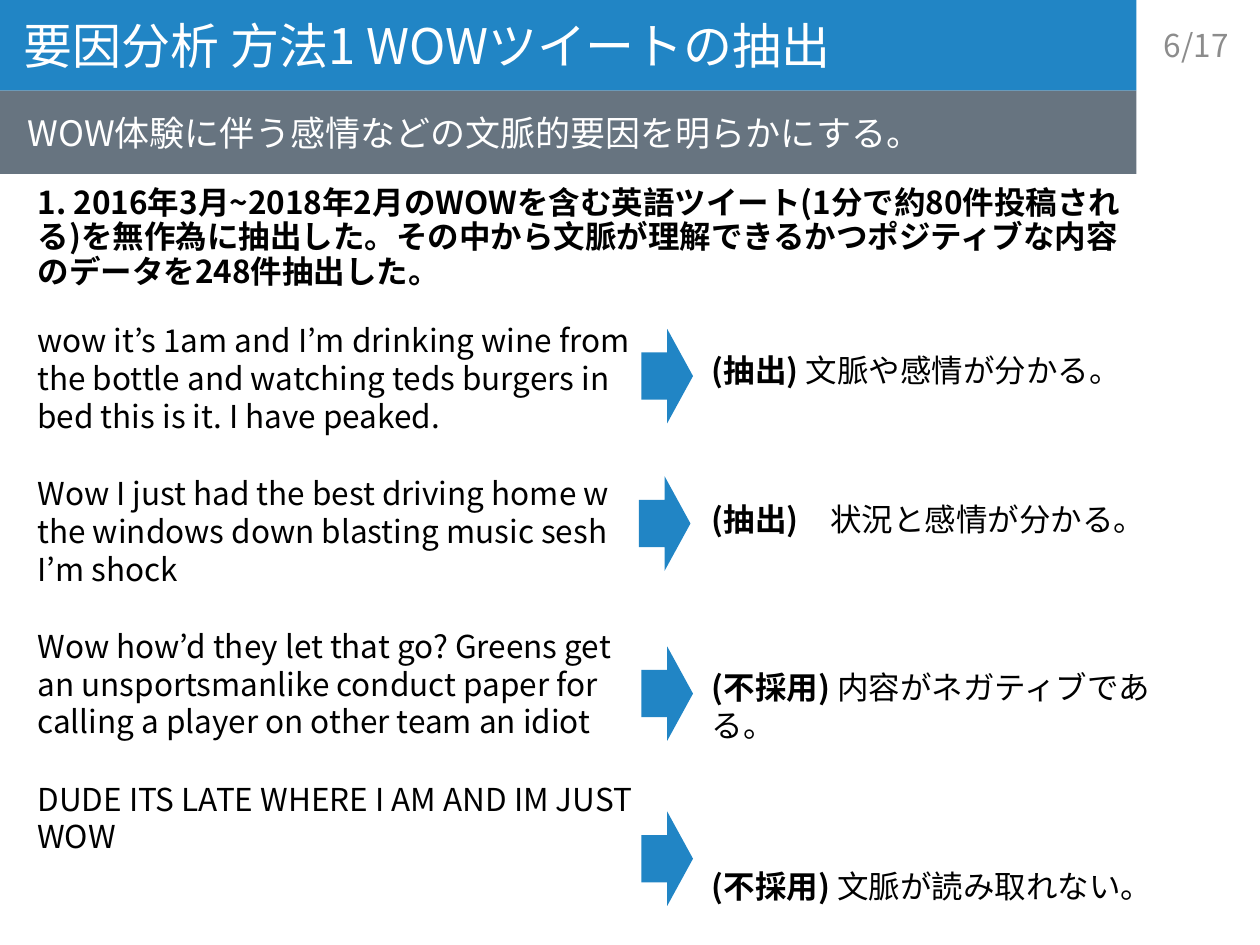
import pptx
import pptx.dml.color
import pptx.enum.shapes
import pptx.enum.text
import pptx.oxml
import pptx.util

Inches = pptx.util.Inches
Pt = pptx.util.Pt
SHAPES = pptx.enum.shapes.MSO_SHAPE
ANCHORS = pptx.enum.text.MSO_ANCHOR
ALIGNS = pptx.enum.text.PP_ALIGN

FONT = "Noto Sans CJK JP"
BLUE, GRAY, PALE = "2185C5", "677480", "8C8C8C"
WHITE, BLACK = "FFFFFF", "000000"

SUMMARY = (
    "1. 2016年3月~2018年2月のWOWを含む英語ツイート(1分で約80件投稿される)を"
    "無作為に抽出した。その中から文脈が理解できるかつポジティブな内容のデータを"
    "248件抽出した。"
)
TWEETS = [
    "wow it’s 1am and I’m drinking wine from the bottle and watching teds burgers "
    "in bed this is it. I have peaked.",
    "Wow I just had the best driving home w the windows down blasting music sesh I’m shock",
    "Wow how’d they let that go? Greens get an unsportsmanlike conduct paper for "
    "calling a player on other team an idiot",
    "DUDE ITS LATE WHERE I AM AND IM JUST WOW",
]
# Verdict, reason and the gap above in points
JUDGEMENTS = [
    ("(抽出) ", "文脈や感情が分かる。", 0),
    ("(抽出)\u3000".replace("\u3000", "　"), "状況と感情が分かる。", 63.5),
    ("(不採用) ", "内容がネガティブである。", 74.5),
    ("(不採用) ", "文脈が読み取れない。", 70.5),
]
ARROWS = [(5.09, 2.61), (5.07, 3.78), (5.09, 5.13), (5.09, 6.44)]


def color(value):
    return pptx.dml.color.RGBColor.from_string(value)


def apply_format(target, values):
    for name, value in values.items():
        setattr(target, name, value)


def add_span(para, text, size=18, fill=BLACK, bold=False):
    span = para.add_run()
    span.text = text
    apply_format(span.font, {"name": FONT, "size": Pt(size), "bold": bold})
    span.font.color.rgb = color(fill)
    east_asian = pptx.oxml.parse_xml(
        '<a:ea xmlns:a="http://schemas.openxmlformats.org/drawingml/2006/main" '
        f'typeface="{FONT}"/>'
    )
    span.font._element.find(pptx.oxml.ns.qn("a:latin")).addnext(east_asian)


def add_block(page, kind, left, top, width, height, fill):
    block = page.shapes.add_shape(
        kind, Inches(left), Inches(top), Inches(width), Inches(height)
    )
    block.shadow.inherit = False
    block.fill.solid()
    block.fill.fore_color.rgb = color(fill)
    block.line.fill.background()
    return block


def add_text_box(page, left, top, width, height, **frame_format):
    box = page.shapes.add_textbox(
        Inches(left), Inches(top), Inches(width), Inches(height)
    )
    apply_format(box.text_frame, {"word_wrap": True, **frame_format})
    return box.text_frame


def add_paragraphs(frame, entries):
    """Fill the frame from (gap above in points, [(text, bold), ...]) entries."""
    for index, (gap, spans) in enumerate(entries):
        para = frame.add_paragraph() if index else frame.paragraphs[0]
        para.space_before = Pt(gap)
        para._p.get_or_add_pPr().set("marL", str(Inches(0.04)))
        for text, bold in spans:
            add_span(para, text, bold=bold)


def add_banner(page, left, top, width, height, fill, text, size, inset):
    banner = add_block(page, SHAPES.RECTANGLE, left, top, width, height, fill)
    apply_format(banner.text_frame, {
        "word_wrap": True,
        "vertical_anchor": ANCHORS.MIDDLE,
        "margin_left": Inches(inset),
    })
    para = banner.text_frame.paragraphs[0]
    para.alignment = ALIGNS.LEFT
    add_span(para, text, size, WHITE)


def add_summary(page, left, top, width, height):
    inset = Inches(0.1)
    frame = add_text_box(page, left, top, width, height,
                         margin_top=inset, margin_bottom=inset)
    add_paragraphs(frame, [(6, [(SUMMARY, True)])])
    frame.paragraphs[0].line_spacing = 0.9


def add_tweets(page, left, top, width, height):
    frame = add_text_box(page, left, top, width, height)
    add_paragraphs(frame, [
        (22.5 if index else 0, [(tweet, False)]) for index, tweet in enumerate(TWEETS)
    ])


def add_judgements(page, left, top, width, height):
    frame = add_text_box(page, left, top, width, height)
    add_paragraphs(frame, [
        (gap, [(verdict, True), (reason, False)]) for verdict, reason, gap in JUDGEMENTS
    ])


def add_page_number(page, left, top, width, height):
    frame = add_text_box(page, left, top, width, height,
                         vertical_anchor=ANCHORS.MIDDLE)
    para = frame.paragraphs[0]
    para.alignment = ALIGNS.RIGHT
    add_span(para, "6/17", fill=PALE)


def main():
    deck = pptx.Presentation()
    apply_format(deck, {"slide_width": Inches(10), "slide_height": Inches(7.5)})
    page = deck.slides.add_slide(deck.slide_layouts[6])
    add_banner(page, 0, 0, 9.02, 0.72, BLUE,
               "要因分析 方法1 WOWツイートの抽出", 28, 0.19)
    add_banner(page, 0, 0.72, 9.02, 0.66, GRAY,
               "WOW体験に伴う感情などの文脈的要因を明らかにする。", 20, 0.22)
    add_summary(page, 0.16, 1.39, 8.85, 1.13)
    add_tweets(page, 0.16, 2.5, 5, 4.7)
    for left, top in ARROWS:
        add_block(page, SHAPES.RIGHT_ARROW, left, top, 0.41, 0.75, BLUE)
    add_judgements(page, 5.51, 2.74, 3.78, 4.24)
    add_page_number(page, 9.02, 0.14, 0.83, 0.44)
    deck.save("out.pptx")


if __name__ == "__main__":
    main()
